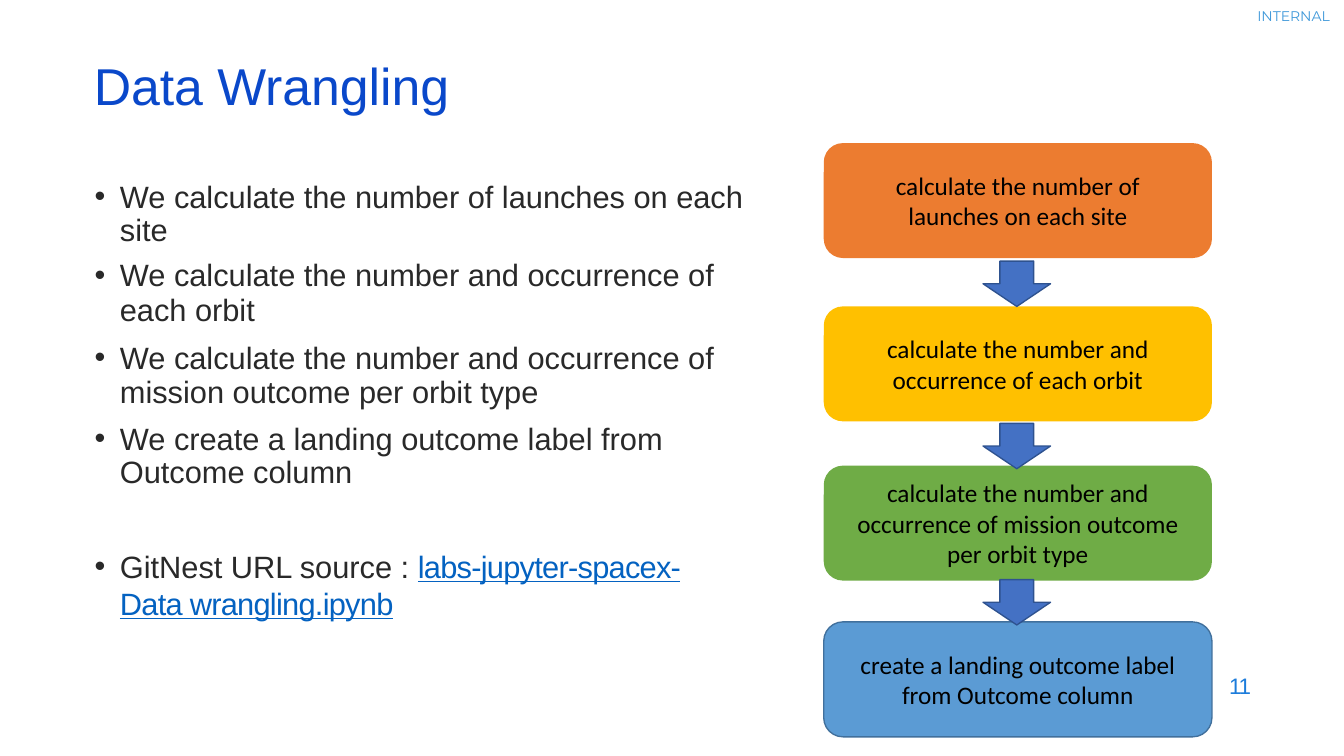
from lxml import etree
from pptx import Presentation
from pptx.dml.color import RGBColor
from pptx.enum.shapes import MSO_SHAPE
from pptx.enum.text import MSO_ANCHOR, PP_ALIGN
from pptx.oxml.ns import qn
from pptx.util import Pt

ROUNDED, DOWN_ARROW = MSO_SHAPE.ROUNDED_RECTANGLE, MSO_SHAPE.DOWN_ARROW
TOP, MIDDLE = MSO_ANCHOR.TOP, MSO_ANCHOR.MIDDLE
CENTER = PP_ALIGN.CENTER

PX = 9144  # 100 px to the inch

TITLE_BLUE = RGBColor(0x0A, 0x48, 0xCA)
LABEL_BLUE = RGBColor(0x40, 0x99, 0xDA)
NUMBER_BLUE = RGBColor(0x1C, 0x7C, 0xDB)
LINK_BLUE = RGBColor(0x04, 0x62, 0xC1)
INK = RGBColor(0x29, 0x29, 0x29)
BLACK = RGBColor(0x00, 0x00, 0x00)
ORANGE = RGBColor(0xEC, 0x7C, 0x30)
YELLOW = RGBColor(0xFF, 0xC0, 0x00)
GREEN = RGBColor(0x6F, 0xAC, 0x46)
SKY = RGBColor(0x5B, 0x9B, 0xD4)
SKY_EDGE = RGBColor(0x41, 0x70, 0x9C)
ARROW_BLUE = RGBColor(0x44, 0x71, 0xC4)
ARROW_EDGE = RGBColor(0x2E, 0x52, 0x8F)

TITLE = {"name": "Arial", "size": Pt(37), "color": TITLE_BLUE}
LABEL = {"name": "Montserrat", "size": Pt(10), "color": LABEL_BLUE}
NUMBER = {"name": "Arial", "size": Pt(16), "color": NUMBER_BLUE, "spacing": -90}
BODY = {"name": "Arial", "size": Pt(22), "color": INK}
LINK = {**BODY, "color": LINK_BLUE, "underline": True, "spacing": -50}
STEP = {"name": "Calibri", "size": Pt(18), "color": BLACK}

# Text, line spacing and space before, in points
FINDINGS = [
    ("We calculate the number of launches on each site", 23.8, 0),
    ("We calculate the number and occurrence of each orbit", 25.1, 7),
    ("We calculate the number and occurrence of mission outcome per orbit type", 23.8, 10.3),
    ("We create a landing outcome label from Outcome column", 23.8, 9.9),
]
# Text, top within the flow, fill and edge
STEPS = [
    ("calculate the number of launches on each site", 0, ORANGE, None),
    ("calculate the number and occurrence of each orbit", 162, YELLOW, None),
    ("calculate the number and occurrence of mission outcome per orbit type", 320, GREEN, None),
    ("create a landing outcome label from Outcome column", 475, SKY, SKY_EDGE),
]
ARROW_TOPS = [117, 278, 433]
STEP_HEIGHT, ARROW_WIDTH, ARROW_HEIGHT = 114, 67, 45


def to_emu(box):
    return [length * PX for length in box]


def set_frame(frame, sides, top, anchor):
    values = {"margin_left": sides * PX, "margin_right": sides * PX,
              "margin_top": top * PX, "margin_bottom": 0,
              "word_wrap": True, "vertical_anchor": anchor}
    for name, value in values.items():
        setattr(frame, name, value)


def add_span(para, text, style):
    span = para.add_run()
    span.text = text
    for name, value in style.items():
        if name == "color":
            span.font.color.rgb = value
        elif name == "spacing":
            span.font._element.set("spc", str(value))
        else:
            setattr(span.font, name, value)


def add_bullet(para):
    props = para._p.get_or_add_pPr()
    props.set("marL", str(26 * PX))
    props.set("indent", str(-25 * PX))
    etree.SubElement(props, qn("a:buFont")).set("typeface", "Arial")
    etree.SubElement(props, qn("a:buChar")).set("char", "•")


def add_text_frame(page, box, top):
    frame = page.shapes.add_textbox(*to_emu(box)).text_frame
    set_frame(frame, 0, top, TOP)
    return frame


def add_line_of_text(page, box, text, style, top=1):
    add_span(add_text_frame(page, box, top).paragraphs[0], text, style)


def add_shape(page, kind, box, fill, edge):
    shape = page.shapes.add_shape(kind, *to_emu(box))
    shape.shadow.inherit = False
    shape.fill.solid()
    shape.fill.fore_color.rgb = fill
    if edge is None:
        shape.line.fill.background()
    else:
        shape.line.color.rgb = edge
        shape.line.width = Pt(0.96)
    return shape


def add_findings(page, left, top, width, height):
    # Bulleted findings
    frame = add_text_frame(page, (left, top, width, 312), 5)
    for index, (text, spacing, before) in enumerate(FINDINGS):
        para = frame.add_paragraph() if index else frame.paragraphs[0]
        add_bullet(para)
        para.line_spacing = Pt(spacing)
        if before:
            para.space_before = Pt(before)
        add_span(para, text, BODY)

    # Notebook source
    source_height = 87
    source_box = (left, top + height - source_height, 594, source_height)
    para = add_text_frame(page, source_box, 13).paragraphs[0]
    add_bullet(para)
    add_span(para, "GitNest URL source : ", BODY)
    add_span(para, "labs-jupyter-spacex-Data wrangling.ipynb", LINK)


def add_flow(page, left, top, width):
    # Step boxes
    for text, offset, fill, edge in STEPS:
        box = (left, top + offset, width, STEP_HEIGHT)
        step = add_shape(page, ROUNDED, box, fill, edge)
        set_frame(step.text_frame, 22, 0, MIDDLE)
        para = step.text_frame.paragraphs[0]
        para.alignment = CENTER
        add_span(para, text, STEP)

    # Arrows between the steps
    arrow_left = left + (width - ARROW_WIDTH) // 2 - 1
    for offset in ARROW_TOPS:
        box = (arrow_left, top + offset, ARROW_WIDTH, ARROW_HEIGHT)
        add_shape(page, DOWN_ARROW, box, ARROW_BLUE, ARROW_EDGE)


def main():
    deck = Presentation()
    deck.slide_width, deck.slide_height = to_emu((1333, 750))
    page = deck.slides.add_slide(deck.slide_layouts[6])

    # Heading, label and page number
    add_line_of_text(page, (1247, 7, 84, 17), "INTERNAL", LABEL, top=0)
    add_line_of_text(page, (93, 52, 1148, 59), "Data Wrangling", TITLE)
    add_line_of_text(page, (1219, 666, 30, 29), "11", NUMBER)

    add_findings(page, 93, 175, 647, 442)
    add_flow(page, 817, 142, 385)
    deck.save("out.pptx")


if __name__ == "__main__":
    main()
